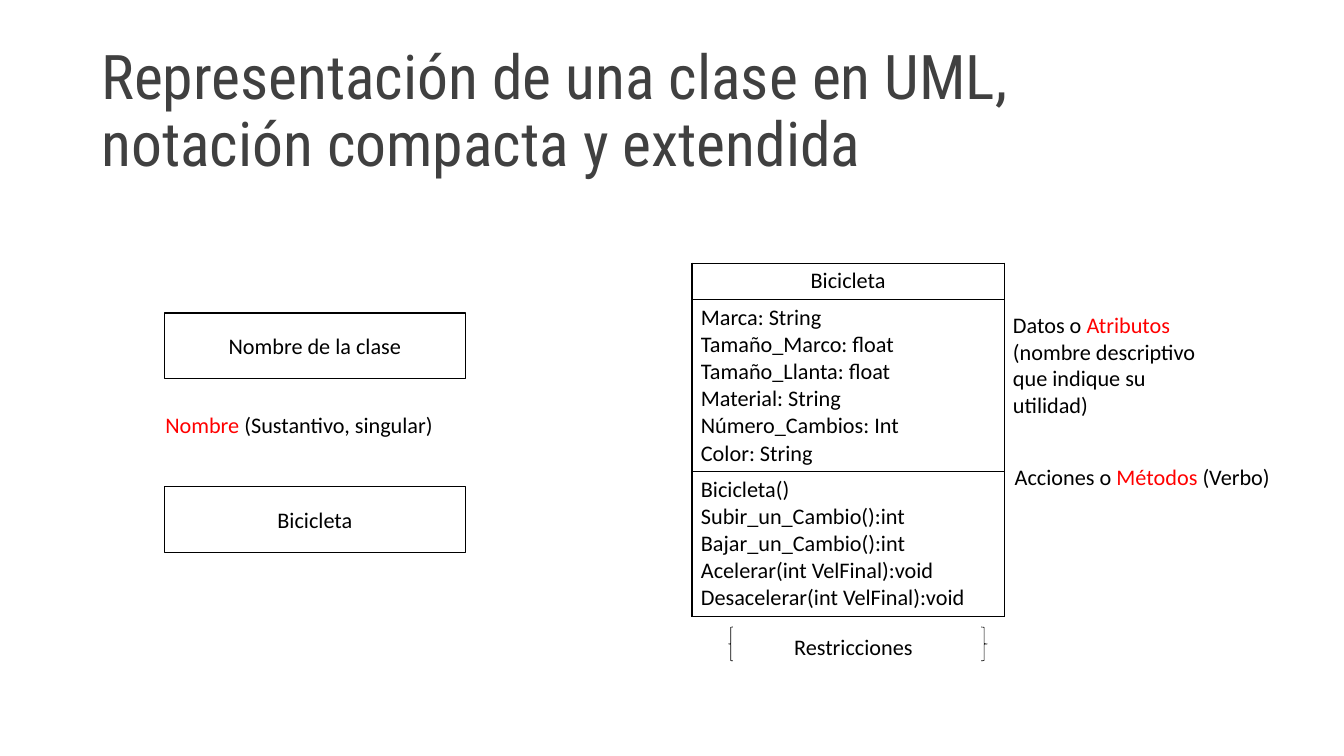
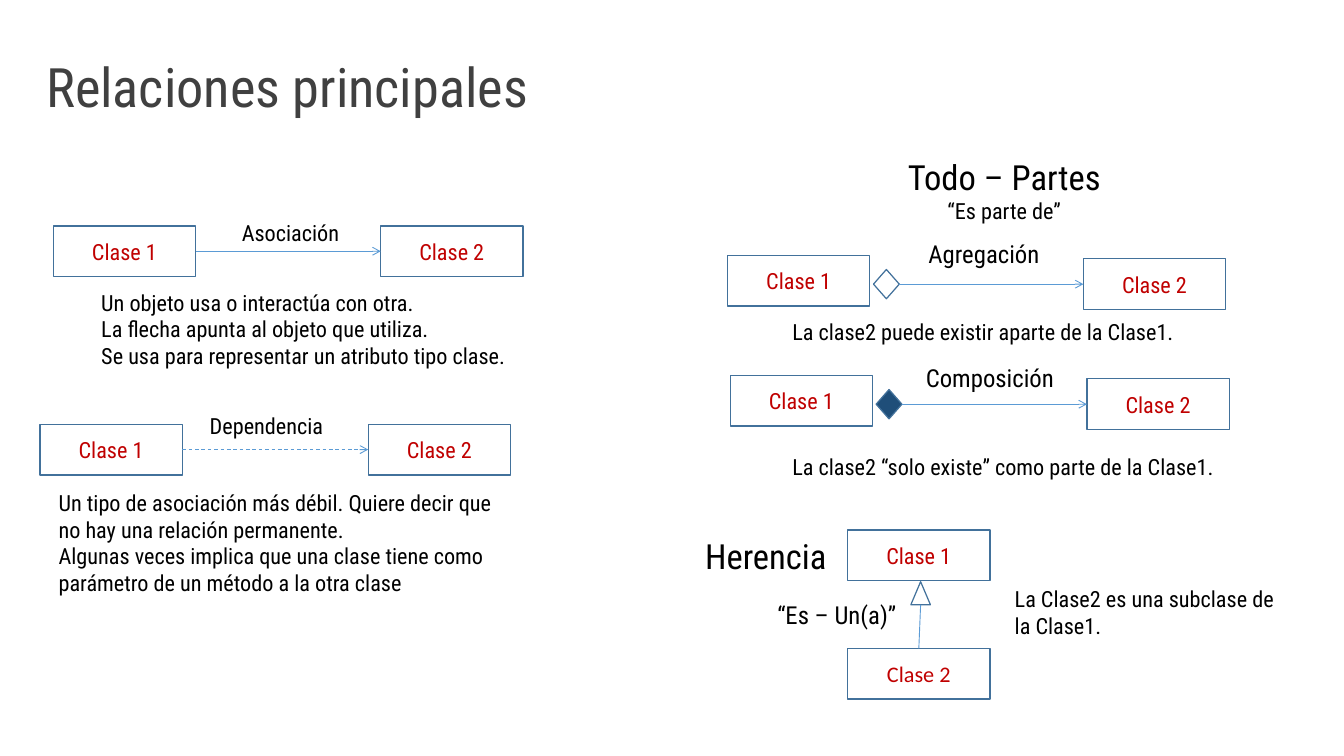
"""Build two slides on UML classes and the main relations between them."""
from lxml import etree
from pptx import Presentation
from pptx.dml.color import RGBColor
from pptx.enum.dml import MSO_LINE
from pptx.enum.shapes import MSO_CONNECTOR, MSO_SHAPE
from pptx.enum.text import MSO_ANCHOR, PP_ALIGN
from pptx.oxml.ns import qn
from pptx.util import Inches, Pt

LEFT, CENTER = PP_ALIGN.LEFT, PP_ALIGN.CENTER
MIDDLE = MSO_ANCHOR.MIDDLE
RECT, DIAMOND, TRIANGLE = MSO_SHAPE.RECTANGLE, MSO_SHAPE.FLOWCHART_DECISION, MSO_SHAPE.ISOSCELES_TRIANGLE
LEFT_BRACE, RIGHT_BRACE = MSO_SHAPE.LEFT_BRACE, MSO_SHAPE.RIGHT_BRACE
STRAIGHT, DASH = MSO_CONNECTOR.STRAIGHT, MSO_LINE.DASH
TOP_SIDE, LEFT_SIDE, RIGHT_SIDE = 0, 1, 3

COLORS = {"text": "000000", "title": "404040", "red": "FF0000", "class": "C00000",
          "white": "FFFFFF", "outline": "42719B", "arrow": "5B9BD5", "solid": "1F4E79"}
CALIBRI, ROBOTO = "Calibri", "Roboto Condensed"
CLASS_W, CLASS_H = 1.6, 0.57
DIAMOND_W, DIAMOND_H, DIAMOND_GAP = 0.29, 0.33, 0.04

CLASS_TABLE = [
    (0.41, CENTER, ["Bicicleta"]),
    (1.91, LEFT, ["Marca: String", "Tamaño_Marco: float", "Tamaño_Llanta: float",
                  "Material: String", "Número_Cambios: Int", "Color: String"]),
    (1.61, LEFT, ["Bicicleta()", "Subir_un_Cambio():int", "Bajar_un_Cambio():int",
                  "Acelerar(int VelFinal):void", "Desacelerar(int VelFinal):void"]),
]
COMPACT_BOXES = [(3.52, "Nombre de la clase"), (5.47, "Bicicleta")]
CLASS_NOTES = [
    ((1.76, 4.57, 3.4, 0.4), [[("Nombre ", "red", 18), ("(Sustantivo, singular)", "text", 18)]]),
    ((11.29, 3.45, 2.3, 1.31), [[("Datos o ", "text", 18), ("Atributos ", "red", 18),
                                 ("(nombre descriptivo que indique su utilidad)", "text", 18)]]),
    ((11.31, 5.16, 3.62, 0.4), [[("Acciones o ", "text", 18), ("Métodos ", "red", 18),
                                 ("(Verbo)", "text", 18)]]),
    ((8.83, 7.07, 1.65, 0.4), ["Restricciones"]),
]
BRACES = [(LEFT_BRACE, 8.19, 0.05), (RIGHT_BRACE, 11.03, 0.07)]

RELATIONS = [
    {"first": (0.6, 2.54), "second": (4.28, 2.54)},
    {"first": (0.45, 4.77), "second": (4.14, 4.77), "dash": DASH},
    {"first": (8.18, 2.87), "second": (12.18, 2.91), "diamond": "white"},
    {"first": (8.21, 4.22), "second": (12.22, 4.26), "diamond": "solid"},
]
RELATION_NOTES = [
    ((2.62, 2.42, 1.4, 0.4), 18, ["Asociación"]),
    ((1.04, 3.2, 5.1, 1.01), 18, ["Un objeto usa o interactúa con otra.",
                                  "La flecha apunta al objeto que utiliza.",
                                  "Se usa para representar un atributo tipo clase."]),
    ((2.26, 4.59, 1.73, 0.46), 18, ["Dependencia"]),
    ((0.56, 5.45, 5.25, 1.31), 18, [
        "Un tipo de asociación más débil. Quiere decir que no hay una relación permanente.",
        "Algunas veces implica que una clase tiene como parámetro de un método a la otra clase"]),
    ((10.34, 2.64, 1.6, 0.55), 20, ["Agregación"]),
    ((8.81, 3.53, 4.8, 0.4), 18, ["La clase2 puede existir aparte de la Clase1."]),
    ((10.31, 4.03, 1.75, 0.44), 20, ["Composición"]),
    ((8.81, 5.05, 5.2, 0.4), 18, ["La clase2 “solo existe” como parte de la Clase1."]),
    ((7.83, 5.96, 1.7, 0.57), 28, ["Herencia"]),
    ((8.64, 6.7, 1.6, 0.44), 20, ["“Es – Un(a)”"]),
    ((11.31, 6.53, 3.24, 0.71), 18, ["La Clase2 es una subclase de la Clase1."]),
]
WHOLE_PARTS = [[("Todo – Partes", "text", 28)], [("“Es parte de”", "text", 18)]]


def rgb(name):
    return RGBColor.from_string(COLORS[name])


def write(tf, paragraphs, font, size=18, color="text", align=LEFT):
    """Write paragraphs, each a string or a list of (text, color, size) runs."""
    tf.word_wrap = True
    for i, runs in enumerate(paragraphs):
        p = tf.paragraphs[0] if i == 0 else tf.add_paragraph()
        p.alignment = align
        for text, run_color, run_size in ([(runs, color, size)] if isinstance(runs, str) else runs):
            r = p.add_run()
            r.text = text
            r.font.name, r.font.size, r.font.bold = font, Pt(run_size), False
            r.font.color.rgb = rgb(run_color)


def add_slide(prs, title, box, size):
    s = prs.slides.add_slide(prs.slide_layouts[5])
    sp = s.shapes.title
    sp.left, sp.top, sp.width, sp.height = map(Inches, box)
    write(sp.text_frame, [title], ROBOTO, size, "title")
    sp.text_frame.vertical_anchor = MIDDLE
    sp.text_frame.paragraphs[0].line_spacing = 0.9
    return s


def add_text(s, box, paragraphs, font, size=18, align=LEFT):
    write(s.shapes.add_textbox(*map(Inches, box)).text_frame, paragraphs, font, size, align=align)


def add_shape(s, kind, box, fill=None, line="outline", width=1):
    sp = s.shapes.add_shape(kind, *map(Inches, box))
    sp.shadow.inherit = False
    if fill:
        sp.fill.solid()
        sp.fill.fore_color.rgb = rgb(fill)
    else:
        sp.fill.background()
    sp.line.color.rgb, sp.line.width = rgb(line), Pt(width)
    return sp


def add_box(s, box, text, font, color="text", line="text"):
    sp = add_shape(s, RECT, box, "white", line)
    write(sp.text_frame, [text], font, color=color, align=CENTER)
    sp.text_frame.vertical_anchor = MIDDLE
    return sp


def add_class(s, at, text, font=ROBOTO):
    return add_box(s, (*at, CLASS_W, CLASS_H), text, font, "class", "outline")


def add_line(s, start, end=(0, 0), dash=None):
    cx = s.shapes.add_connector(STRAIGHT, *map(Inches, (*start, *end)))
    cx.line.color.rgb, cx.line.width = rgb("arrow"), Pt(0.75)
    if dash:
        cx.line.dash_style = dash
    etree.SubElement(cx._element.spPr, qn("a:effectLst"))
    return cx


def add_relation(s, first, second, diamond=None, dash=None):
    source = add_class(s, first, "Clase 1")
    target = add_class(s, second, "Clase 2")
    if diamond:
        top = second[1] + (CLASS_H - DIAMOND_H) / 2
        source = add_shape(s, DIAMOND, (first[0] + CLASS_W + DIAMOND_GAP, top, DIAMOND_W, DIAMOND_H), diamond)
    cx = add_line(s, first, second, dash)
    cx.begin_connect(source, RIGHT_SIDE)
    cx.end_connect(target, LEFT_SIDE)
    etree.SubElement(cx.line._get_or_add_ln(), qn("a:tailEnd"), type="arrow")


def add_class_table(s, left, top, width):
    height = sum(row[0] for row in CLASS_TABLE)
    shape = s.shapes.add_table(len(CLASS_TABLE), 1, *map(Inches, (left, top, width, height)))
    tbl = shape.table
    tbl.first_row = tbl.horz_banding = False
    for i, (row_height, align, lines) in enumerate(CLASS_TABLE):
        tbl.rows[i].height = Inches(row_height)
        cell = tbl.cell(i, 0)
        write(cell.text_frame, lines, CALIBRI, align=align)
        cell.fill.background()
        tc_pr = cell._tc.get_or_add_tcPr()
        for pos, side in enumerate(("lnL", "lnR", "lnT", "lnB")):
            ln = etree.Element(qn(f"a:{side}"), w=str(Pt(1)))
            fill = etree.SubElement(ln, qn("a:solidFill"))
            etree.SubElement(fill, qn("a:srgbClr"), val=COLORS["text"])
            tc_pr.insert(pos, ln)


def build_class_slide(prs):
    s = add_slide(prs, "Representación de una clase en UML, notación compacta y extendida",
                  (1.04, 0.45, 11.75, 1.64), 49.9)
    add_class_table(s, 7.78, 2.96, 3.51)
    for top, text in COMPACT_BOXES:
        add_box(s, (1.85, top, 3.38, 0.74), text, CALIBRI)
    for box, paragraphs in CLASS_NOTES:
        add_text(s, box, paragraphs, CALIBRI)
    for kind, left, width in BRACES:
        add_shape(s, kind, (left, 7.05, width, 0.38), line="text", width=0.5)


def build_relations_slide(prs):
    s = add_slide(prs, "Relaciones principales", (0.42, 0.42, 13.03, 1.19), 44)
    for relation in RELATIONS:
        add_relation(s, **relation)
    for box, size, paragraphs in RELATION_NOTES:
        add_text(s, box, paragraphs, ROBOTO, size)
    add_text(s, (9.6, 1.7, 3.38, 0.57), WHOLE_PARTS, ROBOTO, align=CENTER)
    add_class(s, (9.53, 5.96), "Clase 1")
    child = add_class(s, (9.53, 7.29), "Clase 2", CALIBRI)
    add_shape(s, TRIANGLE, (10.24, 6.54, 0.22, 0.26))
    add_line(s, (10.33, 7.29), (10.35, 6.8)).begin_connect(child, TOP_SIDE)


def main():
    prs = Presentation()
    prs.slide_width, prs.slide_height = Inches(15.11), Inches(8.5)
    build_class_slide(prs)
    build_relations_slide(prs)
    prs.save("out.pptx")


if __name__ == "__main__":
    main()
